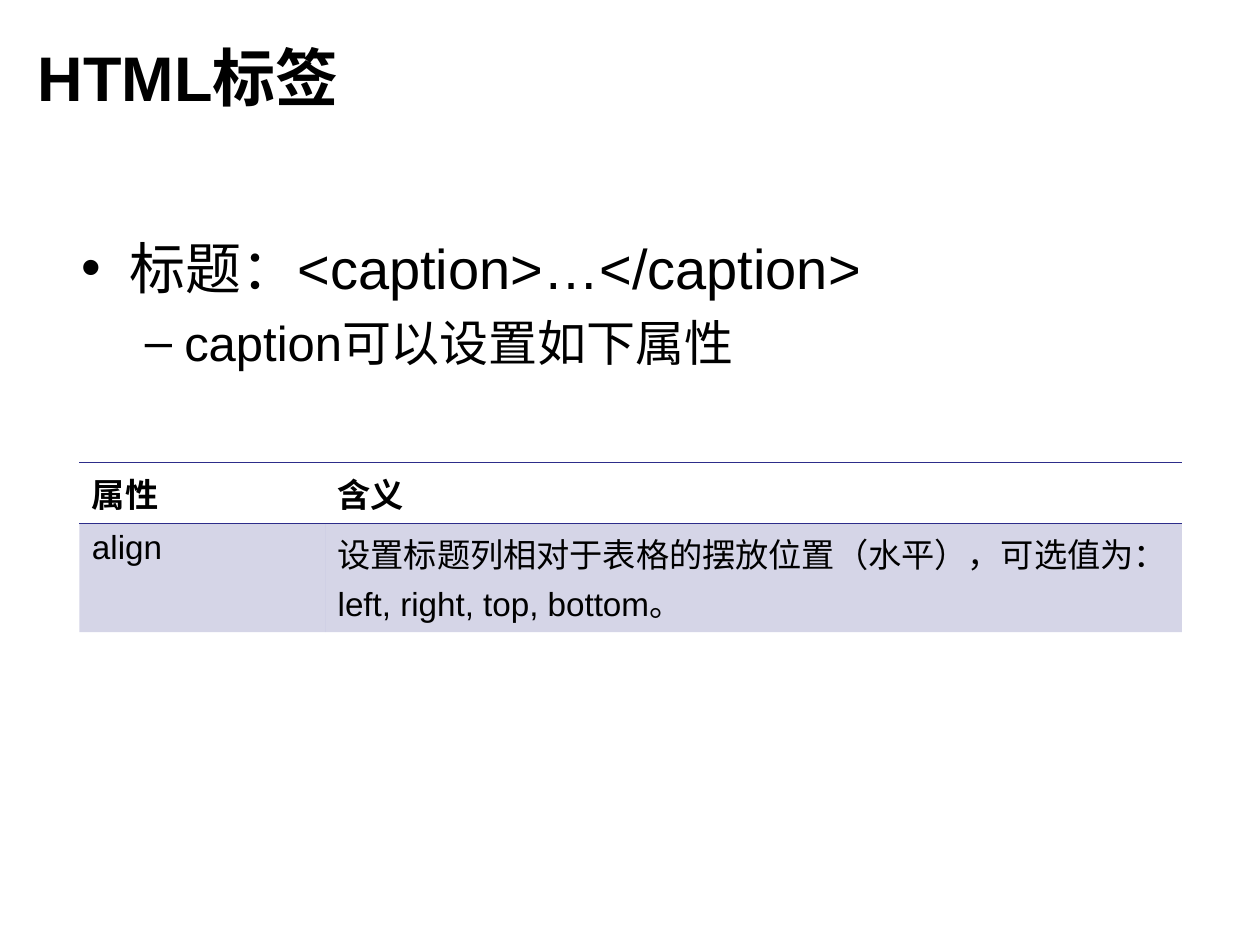
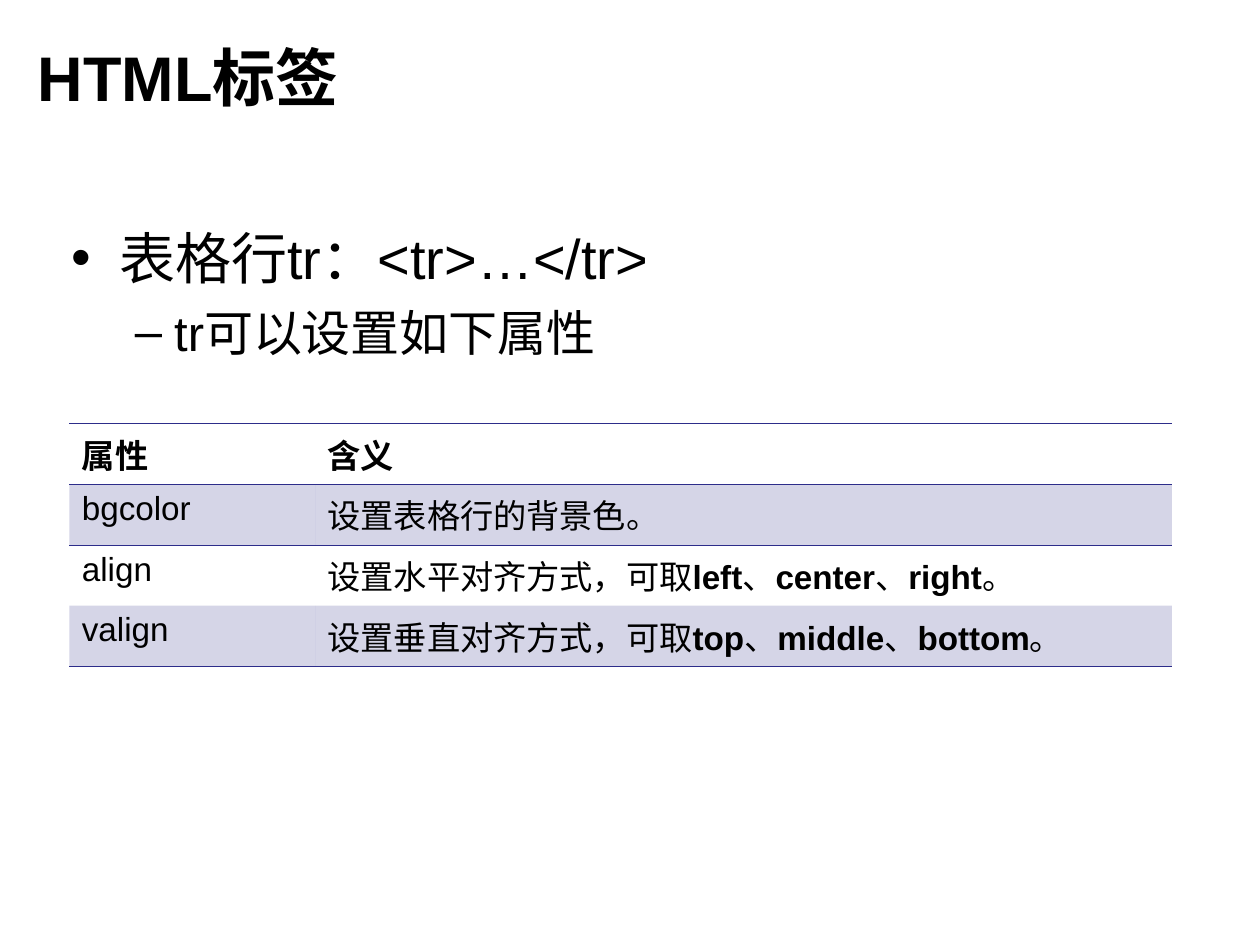
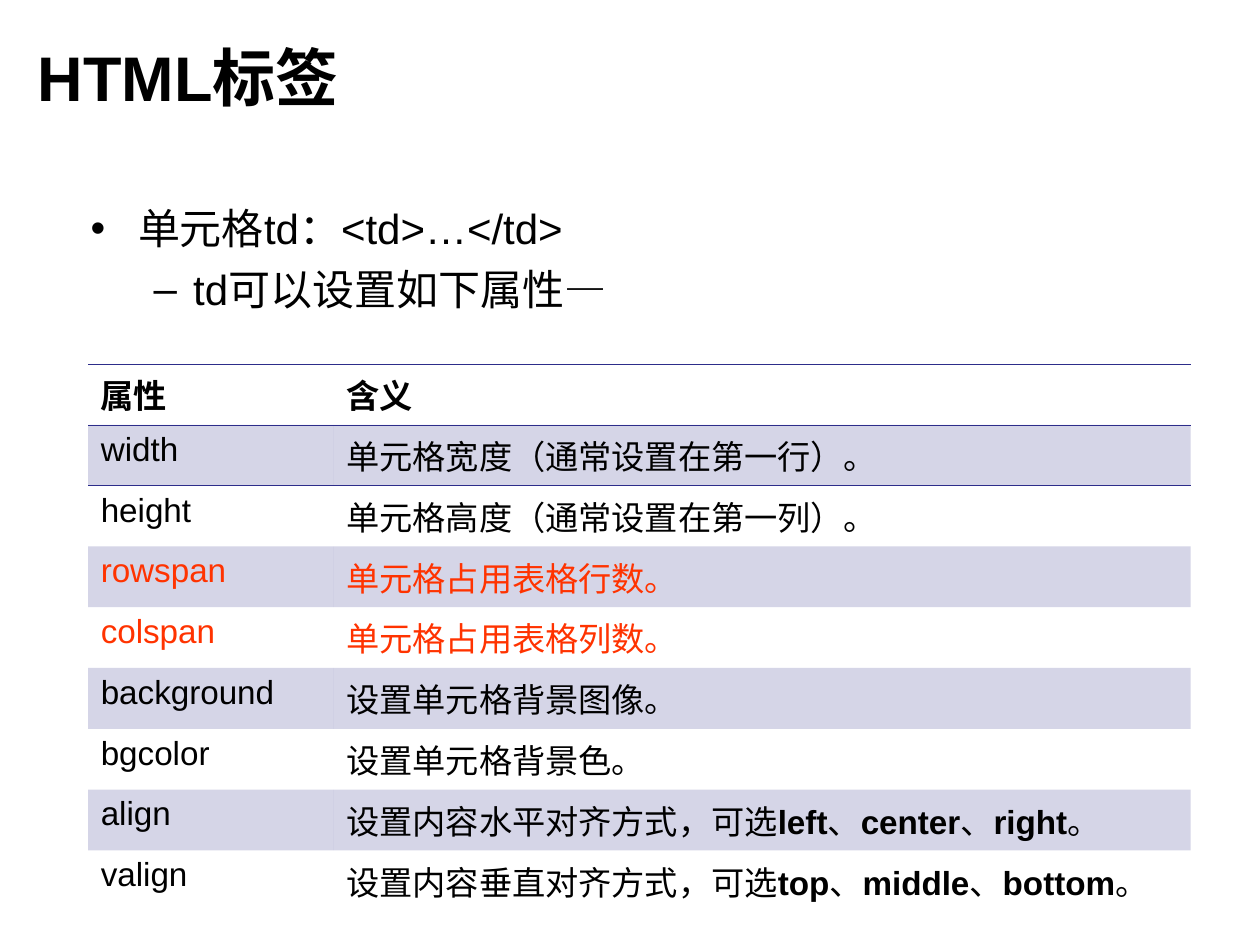
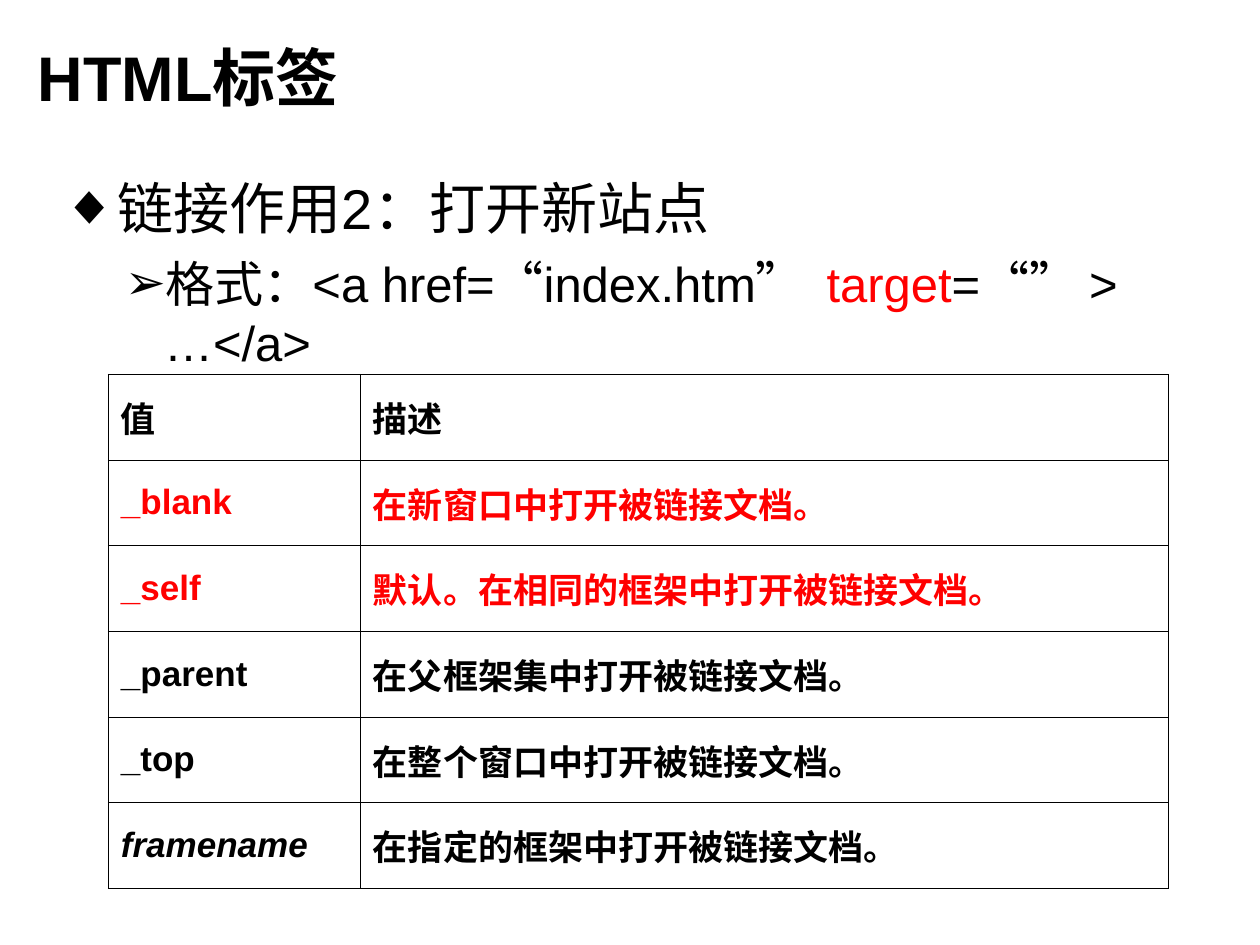
from lxml.etree import SubElement
from pptx import Presentation
from pptx.dml.color import RGBColor
from pptx.enum.text import MSO_ANCHOR, MSO_AUTO_SIZE, PP_ALIGN
from pptx.oxml.ns import qn
from pptx.util import Inches, Pt

INK = {"text": "000000", "rule": "2D2D8A", "warm": "FF3300", "red": "FF0000"}
FONT = "Arial"
TITLE = "HTML标签"
TITLE_BOX = (0.2, 0.21, 9, 0.79)
HEAD = ("属性", "含义")

# Text between asterisks is stressed: red in a list, bold in a table.
# A list line is (text, bullet, size, space before).
# "warm" and "red" map row numbers to the colour of that row's text.
SLIDES = [
    {
        "body": (0.55, 1.8, 8.75, 4.13),
        "lines": [("标题：<caption>…</caption>", "•", 32, 8),
                  ("caption可以设置如下属性", "–", 28, 7)],
        "table": (0.63, 3.67), "style": "bands", "cols": (1.95, 6.8),
        "heights": (0.43, 0.73), "closed": False,
        "rows": [
            HEAD,
            ("align", "设置标题列相对于表格的摆放位置（水平），可选值为： "
                      "left, right, top, bottom。"),
        ],
    },
    {
        "body": (0.47, 1.72, 8.75, 4.13),
        "lines": [("表格行tr：<tr>…</tr>", "•", 32, 8),
                  ("tr可以设置如下属性", "–", 28, 7)],
        "table": (0.55, 3.36), "style": "bands", "cols": (1.95, 6.8),
        "heights": (0.43,) * 4, "closed": True,
        "rows": [
            HEAD,
            ("bgcolor", "设置表格行的背景色。"),
            ("align", "设置水平对齐方式，可取*left*、*center*、*right*。"),
            ("valign", "设置垂直对齐方式，可取*top*、*middle*、*bottom*。"),
        ],
    },
    {
        "body": (0.62, 1.56, 8.75, 4.65),
        "lines": [("单元格td：<td>…</td>", "•", 24, 6),
                  ("td可以设置如下属性—", "–", 24, 6)],
        "table": (0.7, 2.89), "style": "bands", "cols": (1.95, 6.8),
        "heights": (0.43,) * 9, "closed": True,
        "tints": {3: "warm", 4: "warm"},
        "rows": [
            HEAD,
            ("width", "单元格宽度（通常设置在第一行）。"),
            ("height", "单元格高度（通常设置在第一列）。"),
            ("rowspan", "单元格占用表格行数。"),
            ("colspan", "单元格占用表格列数。"),
            ("background", "设置单元格背景图像。"),
            ("bgcolor", "设置单元格背景色。"),
            ("align", "设置内容水平对齐方式，可选*left*、*center*、*right*。"),
            ("valign", "设置内容垂直对齐方式，可选*top*、*middle*、*bottom*。"),
        ],
    },
    {
        "body": (0.39, 1.33, 9, 4.95),
        "lines": [("链接作用2：打开新站点", "◆", 32, 8),
                  ("格式：<a href=“index.htm”  *target*=“” > …</a>", "➢", 28, 7)],
        "table": (0.86, 2.97), "style": "grid", "cols": (2, 6.41),
        "heights": (0.68,) * 6,
        "tints": {1: "red", 2: "red"}, "slanted": "framename",
        "rows": [
            ("值", "描述"),
            ("_blank", "在新窗口中打开被链接文档。"),
            ("_self", "默认。在相同的框架中打开被链接文档。"),
            ("_parent", "在父框架集中打开被链接文档。"),
            ("_top", "在整个窗口中打开被链接文档。"),
            ("framename", "在指定的框架中打开被链接文档。"),
        ],
    },
]

NO_STYLE = "{2D5ABB26-0587-4C30-8999-92F81FD0307C}"


def add_run(para, text, size, tint="text", bold=False, slant=False):
    run = para.add_run()
    run.text = text
    font = run.font
    font.name, font.size = FONT, Pt(size)
    font.bold, font.italic = bold, slant
    font.color.rgb = RGBColor.from_string(INK[tint])


def pieces(text):
    """Yield each piece of text and whether it is stressed."""
    for i, part in enumerate(text.split("*")):
        if part:
            yield part, i % 2 == 1


def place(shape, box):
    shape.left, shape.top, shape.width, shape.height = map(Inches, box)
    shape.text_frame.auto_size = MSO_AUTO_SIZE.NONE


def add_title(slide):
    shape = slide.shapes.title
    place(shape, TITLE_BOX)
    shape.text_frame.vertical_anchor = MSO_ANCHOR.MIDDLE
    para = shape.text_frame.paragraphs[0]
    para.alignment = PP_ALIGN.LEFT
    add_run(para, TITLE, 36, bold=True)


def add_list(slide, spec):
    shape = slide.placeholders[1]
    place(shape, spec["body"])
    frame = shape.text_frame
    for level, (text, bullet, size, gap) in enumerate(spec["lines"]):
        para = frame.add_paragraph() if level else frame.paragraphs[0]
        para.level = level
        para.space_before = Pt(gap)
        SubElement(para._p.get_or_add_pPr(), qn("a:buChar"), char=bullet)
        for part, stressed in pieces(text):
            add_run(para, part, size, "red" if stressed else "text")


def add_edges(cell, sides, tint):
    """Rule the given sides, named by letters in the order L R T B."""
    props = cell._tc.get_or_add_tcPr()
    for side in sides:
        line = SubElement(props, qn("a:ln" + side), w=str(Pt(0.45)))
        fill = SubElement(line, qn("a:solidFill"))
        SubElement(fill, qn("a:srgbClr"), val=INK[tint])


def shade(cell):
    cell.fill.solid()
    cell.fill.fore_color.rgb = RGBColor.from_string(INK["rule"])
    color = next(cell._tc.tcPr.iter(qn("a:srgbClr"), ), None)
    for color in cell._tc.tcPr.find(qn("a:solidFill")):
        SubElement(color, qn("a:alpha"), val="20000")


def band_sides(row, last, closed):
    if row == 0:
        return "TB"
    return ("T" if row == 1 else "") + ("B" if row == last and closed else "")


def add_grid(slide, spec):
    rows, cols, heights = spec["rows"], spec["cols"], spec["heights"]
    box = (*spec["table"], sum(cols), sum(heights))
    table = slide.shapes.add_table(len(rows), len(cols), *map(Inches, box)).table
    table._tbl.tblPr.find(qn("a:tableStyleId")).text = NO_STYLE
    for col, width in zip(table.columns, cols):
        col.width = Inches(width)
    for row, height in zip(table.rows, heights):
        row.height = Inches(height)

    full = spec["style"] == "grid"
    size = 20 if full else 19
    for r, texts in enumerate(rows):
        tint = spec.get("tints", {}).get(r, "text")
        for c, text in enumerate(texts):
            cell = table.cell(r, c)
            if full:
                cell.vertical_anchor = MSO_ANCHOR.MIDDLE
                add_edges(cell, "LRTB", "text")
            else:
                sides = band_sides(r, len(rows) - 1, spec["closed"])
                add_edges(cell, sides, "rule")
            if not full and r % 2:
                shade(cell)
            else:
                cell.fill.background()
            para = cell.text_frame.paragraphs[0]
            for part, stressed in pieces(text):
                add_run(para, part, size, tint, full or r == 0 or stressed,
                        text == spec.get("slanted"))


def main():
    deck = Presentation()
    deck.slide_width, deck.slide_height = Inches(10), Inches(7.5)
    for spec in SLIDES:
        slide = deck.slides.add_slide(deck.slide_layouts[1])
        add_title(slide)
        add_list(slide, spec)
        add_grid(slide, spec)
    deck.save("out.pptx")


if __name__ == "__main__":
    main()
